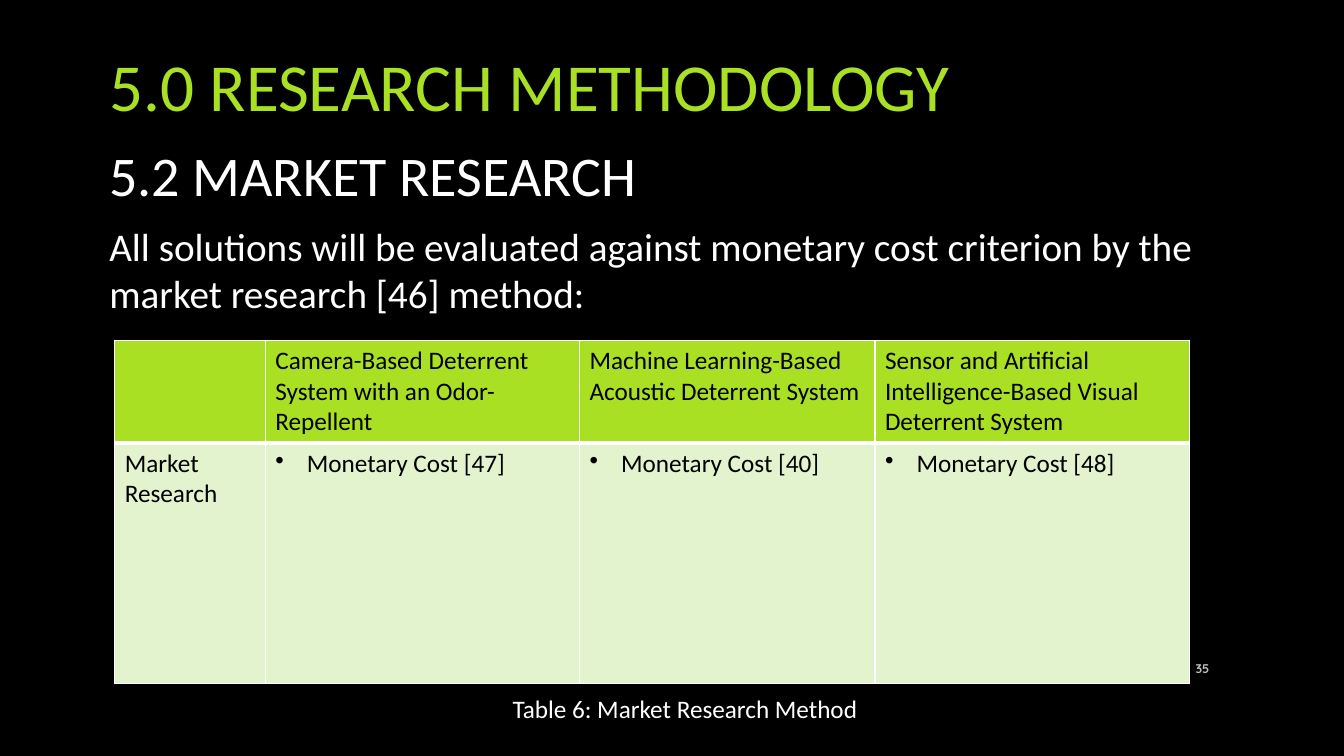
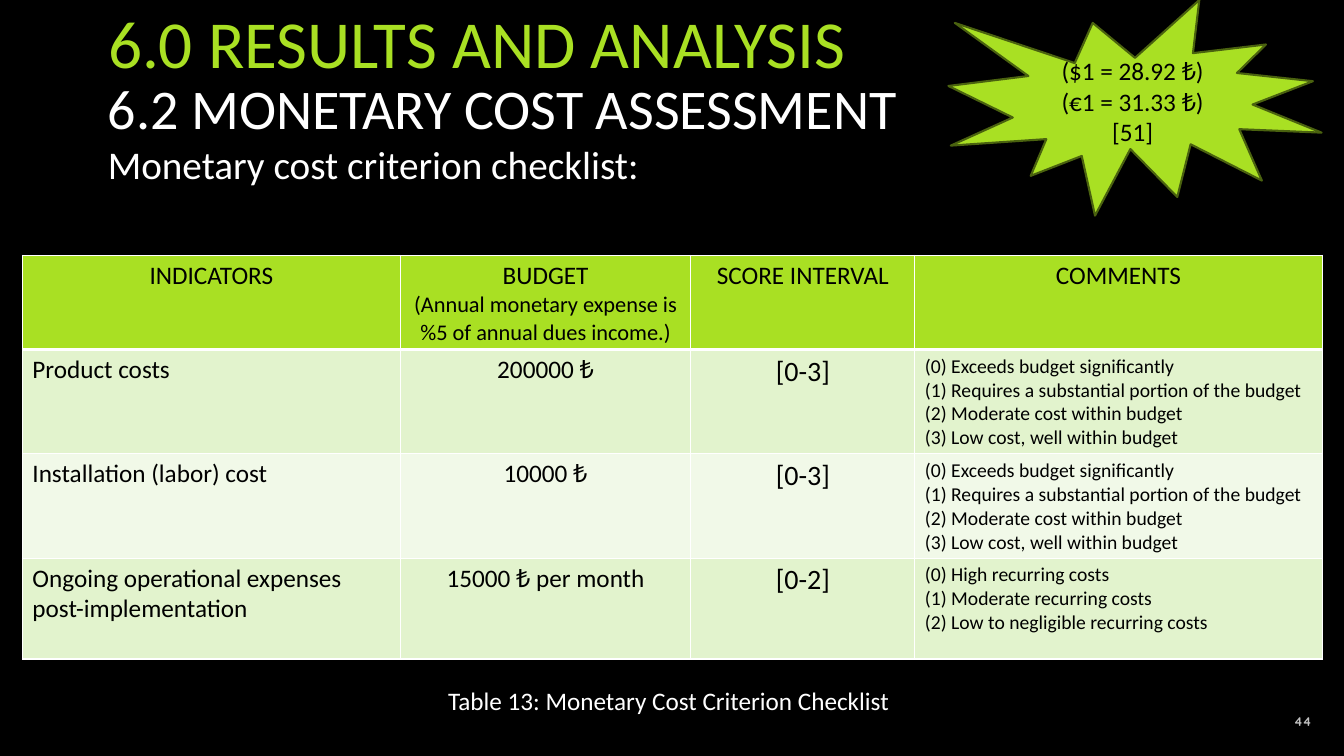
from dataclasses import dataclass

import pptx
import pptx.dml.color
import pptx.enum.shapes
import pptx.enum.text
import pptx.oxml
import pptx.oxml.ns
import pptx.util

Pt = pptx.util.Pt
Align = pptx.enum.text.PP_ALIGN
Anchor = pptx.enum.text.MSO_ANCHOR


@dataclass(frozen=True)
class Theme:
    background: str = "000000"
    accent: str = "A9E023"
    accent_outline: str = "4A620F"
    light_text: str = "FFFFFF"
    dark_text: str = "000000"
    muted_text: str = "BFBFBF"
    band_odd: str = "E2F3CD"
    band_even: str = "F1F9E8"
    grid: str = "FFFFFF"
    font: str = "Calibri"
    number_font: str = "Quicksand"
    title_size: int = 48
    subtitle_size: int = 40
    lead_size: int = 28
    score_size: int = 20
    text_size: int = 18
    note_size: int = 16
    comment_size: int = 14
    number_size: int = 9


THEME = Theme()


@dataclass(frozen=True)
class Column:
    width: float
    align: Align = Align.LEFT
    size: int = THEME.text_size
    bullet: bool = False


def rgb(value):
    return pptx.dml.color.RGBColor.from_string(value)


def add_run(paragraph, text, size, color, font=THEME.font, bold=False):
    run = paragraph.add_run()
    run.text = text
    run.font.name = font
    run.font.size = Pt(size)
    run.font.bold = bold
    run.font.color.rgb = rgb(color)


def write_lines(frame, lines, color, align=Align.LEFT, bullet=False):
    """Fill a text frame with one paragraph for each (text, size) pair."""
    for index, (text, size) in enumerate(lines):
        paragraph = frame.add_paragraph() if index else frame.paragraphs[0]
        paragraph.alignment = align
        if bullet:
            add_bullet(paragraph)
        add_run(paragraph, text, size, color)


def add_bullet(paragraph):
    properties = paragraph._p.get_or_add_pPr()
    properties.set("marL", str(Pt(22.5)))
    properties.set("indent", str(-Pt(22.5)))
    properties.append(pptx.oxml.parse_xml(
        f'<a:buChar {pptx.oxml.ns.nsdecls("a")} char="•"/>'))


def add_text(slide, left, top, width, height, text, size):
    box = slide.shapes.add_textbox(Pt(left), Pt(top), Pt(width), Pt(height))
    box.text_frame.word_wrap = True
    write_lines(box.text_frame, [(text, size)], THEME.light_text)


def add_heading(slide, left, top, width, title, subtitle, lead,
                subtitle_offset, lead_offset, lead_height):
    """Place title, subtitle and lead; offsets are measured from top."""
    shape = slide.shapes.title
    shape.left, shape.top = Pt(left), Pt(top)
    shape.width, shape.height = Pt(width), Pt(60)
    frame = shape.text_frame
    frame.word_wrap = True
    frame.auto_size = pptx.enum.text.MSO_AUTO_SIZE.NONE
    frame.vertical_anchor = Anchor.MIDDLE
    frame.margin_top = frame.margin_bottom = 0
    write_lines(frame, [(title, THEME.title_size)], THEME.accent)
    add_text(slide, left, top + subtitle_offset, width, 55,
             subtitle, THEME.subtitle_size)
    add_text(slide, left, top + lead_offset, width, lead_height,
             lead, THEME.lead_size)


def add_page_number(slide, left, top, number):
    box = slide.shapes.add_textbox(Pt(left), Pt(top), Pt(43), Pt(29))
    box.text_frame.word_wrap = True
    box.text_frame.vertical_anchor = Anchor.MIDDLE
    paragraph = box.text_frame.paragraphs[0]
    paragraph.alignment = Align.RIGHT
    add_run(paragraph, number, THEME.number_size, THEME.muted_text,
            THEME.number_font, True)


def set_borders(cell, top, bottom):
    """Draw the cell grid; top and bottom are widths in points."""
    properties = cell._tc.get_or_add_tcPr()
    edges = (("lnL", 1), ("lnR", 1), ("lnT", top), ("lnB", bottom))
    for index, (tag, width) in enumerate(edges):
        properties.insert(index, pptx.oxml.parse_xml(
            f'<a:{tag} {pptx.oxml.ns.nsdecls("a")} w="{Pt(width)}">'
            f'<a:solidFill><a:srgbClr val="{THEME.grid}"/></a:solidFill>'
            f'</a:{tag}>'))


def add_banded_table(slide, left, top, columns, row_heights, headers, rows,
                     header_align):
    """Header cells hold (text, size) pairs; body cells hold lists of text."""
    width = sum(column.width for column in columns)
    frame = slide.shapes.add_table(
        len(row_heights), len(columns), Pt(left), Pt(top), Pt(width),
        Pt(sum(row_heights)))
    table = frame.table
    table.first_row = table.horz_banding = False
    for table_column, column in zip(table.columns, columns):
        table_column.width = Pt(column.width)
    for table_row, height in zip(table.rows, row_heights):
        table_row.height = Pt(height)

    def fill_cell(row, index, lines, color, align, bullet=False):
        cell = table.cell(row, index)
        cell.fill.solid()
        cell.fill.fore_color.rgb = rgb(color)
        set_borders(cell, 3 if row == 1 else 1, 3 if row == 0 else 1)
        write_lines(cell.text_frame, lines, THEME.dark_text, align, bullet)

    for index, lines in enumerate(headers):
        fill_cell(0, index, lines, THEME.accent, header_align)
    for row, cells in enumerate(rows, start=1):
        color = THEME.band_odd if row % 2 else THEME.band_even
        for index, (column, texts) in enumerate(zip(columns, cells)):
            lines = [(text, column.size) for text in texts]
            fill_cell(row, index, lines, color, column.align, column.bullet)


def add_rate_burst(slide, left, top, width, height, rates):
    burst = slide.shapes.add_shape(
        pptx.enum.shapes.MSO_SHAPE.EXPLOSION1,
        Pt(left), Pt(top), Pt(width), Pt(height))
    burst.shadow.inherit = False
    burst.fill.solid()
    burst.fill.fore_color.rgb = rgb(THEME.accent)
    burst.line.color.rgb = rgb(THEME.accent_outline)
    burst.line.width = Pt(1.5)
    burst.text_frame.word_wrap = True
    burst.text_frame.vertical_anchor = Anchor.MIDDLE
    write_lines(burst.text_frame, [(rate, THEME.text_size) for rate in rates],
                THEME.dark_text, Align.CENTER)


def build_market_research(slide):
    add_heading(
        slide, 71, 30.5, 819, "5.0 RESEARCH METHODOLOGY",
        "5.2 MARKET RESEARCH",
        "All solutions will be evaluated against monetary cost criterion "
        "by the market research [46] method:",
        subtitle_offset=66.5, lead_offset=125, lead_height=75)
    systems = ("Camera-Based Deterrent System with an Odor-Repellent",
               "Machine Learning-Based Acoustic Deterrent System",
               "Sensor and Artificial Intelligence-Based Visual "
               "Deterrent System")
    headers = [[]] + [[(system, THEME.text_size)] for system in systems]
    costs = [[f"Monetary Cost [{source}]"] for source in (47, 40, 48)]
    columns = [Column(107.5)] + [
        Column(width, bullet=True) for width in (224.5, 211, 224.5)]
    add_banded_table(slide, 82, 243, columns, (73.5, 172), headers,
                     [[["Market Research"]] + costs], Align.LEFT)
    add_text(slide, 359, 492, 270, 29, "Table 6: Market Research Method",
             THEME.text_size)
    add_page_number(slide, 828, 463, "35")


def build_cost_assessment(slide):
    add_heading(
        slide, 70, 0, 606, "6.0 RESULTS AND ANALYSIS",
        "6.2 MONETARY COST ASSESSMENT", "Monetary cost criterion checklist:",
        subtitle_offset=49, lead_offset=97, lead_height=41)
    columns = [Column(270), Column(207.5, Align.CENTER),
               Column(160, Align.CENTER, THEME.score_size),
               Column(291, size=THEME.comment_size)]
    headers = [[(name, THEME.text_size)] for name in
               ("INDICATORS", "BUDGET", "SCORE INTERVAL", "COMMENTS")]
    headers[1].append(
        ("(Annual monetary expense is %5 of annual dues income.)",
         THEME.note_size))
    budget_scale = ["(0) Exceeds budget significantly",
                    "(1) Requires a substantial portion of the budget",
                    "(2) Moderate cost within budget",
                    "(3) Low cost, well within budget"]
    recurring_scale = ["(0) High recurring costs",
                       "(1) Moderate recurring costs",
                       "(2) Low to negligible recurring costs"]
    rows = [
        (["Product costs"], ["200000 ₺"], ["[0-3]"], budget_scale),
        (["Installation (labor) cost"], ["10000 ₺"], ["[0-3]"], budget_scale),
        (["Ongoing operational expenses post-implementation"],
         ["15000 ₺ per month"], ["[0-2]"], recurring_scale)]
    add_banded_table(slide, 16, 182.5, columns, (67, 74.5, 74.5, 72), headers,
                     rows, Align.CENTER)
    add_text(slide, 313, 486, 333, 29,
             "Table 13: Monetary Cost Criterion Checklist", THEME.text_size)
    add_rate_burst(slide, 677.5, 0, 266.5, 154,
                   ("($1 = 28.92 ₺)", "(€1 = 31.33 ₺) [51]"))
    add_page_number(slide, 901, 500.5, "44")


def main():
    presentation = pptx.Presentation()
    presentation.slide_width, presentation.slide_height = Pt(960), Pt(540)
    background = presentation.slide_master.background.fill
    background.solid()
    background.fore_color.rgb = rgb(THEME.background)
    title_only = presentation.slide_layouts.get_by_name("Title Only")
    for build in (build_market_research, build_cost_assessment):
        build(presentation.slides.add_slide(title_only))
    presentation.save("out.pptx")


if __name__ == "__main__":
    main()
